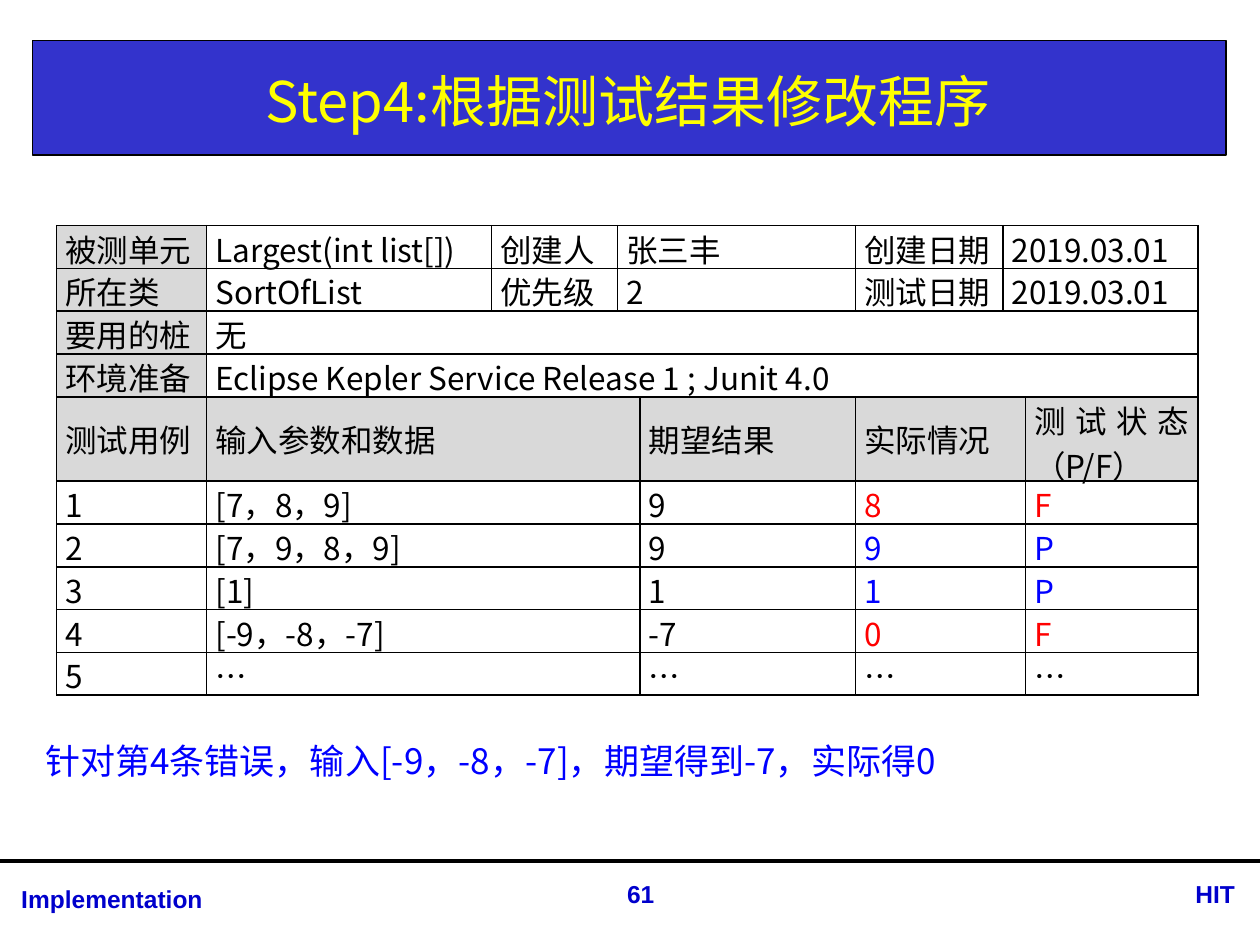
from lxml.etree import SubElement
from pptx import Presentation
from pptx.dml.color import RGBColor
from pptx.enum.shapes import MSO_CONNECTOR, MSO_SHAPE
from pptx.enum.text import MSO_ANCHOR, PP_ALIGN
from pptx.oxml import parse_xml
from pptx.oxml.ns import nsdecls, qn
from pptx.util import Inches, Pt

SANS = "Noto Sans CJK SC"
BLACK, RED, BLUE, GREY = "000000", "FF0000", "0000FF", "D9D9D9"


def colour(value):
    return RGBColor.from_string(value)


class SlideBuilder:
    """Holds the style and the current slide."""

    title = {"size": 32, "name": SANS, "color": "FFFF00"}
    cell = {"size": 18, "name": SANS, "color": BLACK}
    note = {"size": 20, "name": SANS, "color": BLUE}
    footer = {"size": 14, "name": "Arial", "color": "0000CC", "bold": True}

    def __init__(self, deck):
        self.slide = deck.slides.add_slide(deck.slide_layouts[6])
        self.shapes = self.slide.shapes

    def fill_frame(self, frame, text, style, align):
        para = frame.paragraphs[0]
        para.alignment = align
        span = para.add_run()
        span.text = text
        for key, value in style.items():
            if key == "color":
                span.font.color.rgb = colour(value)
            else:
                setattr(span.font, key, Pt(value) if key == "size" else value)
        east_asian = SubElement(span.font._element, qn("a:ea"))
        east_asian.set("typeface", style["name"])

    def text(self, place, text, style, align=PP_ALIGN.LEFT, anchor=MSO_ANCHOR.TOP):
        frame = self.shapes.add_textbox(*map(Inches, place)).text_frame
        frame.word_wrap = True
        frame.vertical_anchor = anchor
        self.fill_frame(frame, text, style, align)

    def rectangle(self, place, fill, line, width):
        shape = self.shapes.add_shape(MSO_SHAPE.RECTANGLE, *map(Inches, place))
        shape.shadow.inherit = False
        shape.fill.solid()
        shape.fill.fore_color.rgb = colour(fill)
        shape.line.color.rgb = colour(line)
        shape.line.width = Pt(width)

    def line(self, ends, line, width):
        rule = self.shapes.add_connector(MSO_CONNECTOR.STRAIGHT, *map(Inches, ends))
        rule.line.color.rgb = colour(line)
        rule.line.width = Pt(width)
        SubElement(rule._element.spPr, qn("a:effectLst"))

    def border(self, cell):
        properties = cell._tc.get_or_add_tcPr()
        for index, side in enumerate(("lnL", "lnR", "lnT", "lnB")):
            properties.insert(index, parse_xml(
                f'<a:{side} {nsdecls("a")} w="{Pt(1)}"><a:solidFill>'
                f'<a:srgbClr val="{BLACK}"/></a:solidFill></a:{side}>'))

    def table(self, place, widths, heights, rows):
        """Each row is a list of (text, column span, fill, text colour)."""
        size = len(rows), len(widths)
        table = self.shapes.add_table(*size, *map(Inches, place)).table
        table.first_row = table.horz_banding = False
        for column, width in zip(table.columns, widths):
            column.width = Inches(width)
        for row, height in zip(table.rows, heights):
            row.height = Inches(height)
        for cell in table.iter_cells():
            cell.fill.background()
            self.border(cell)
        for row_index, row in enumerate(rows):
            column_index = 0
            for text, columns, fill, ink in row:
                cell = table.cell(row_index, column_index)
                column_index += columns
                if columns > 1:
                    cell.merge(table.cell(row_index, column_index - 1))
                if fill:
                    cell.fill.solid()
                    cell.fill.fore_color.rgb = colour(fill)
                cell.margin_left = cell.margin_right = Inches(0.07)
                cell.margin_top = cell.margin_bottom = 0
                cell.vertical_anchor = MSO_ANCHOR.MIDDLE
                self.fill_frame(cell.text_frame, text, {**self.cell, "color": ink},
                                PP_ALIGN.JUSTIFY)


def information_row(texts, spans):
    fills = [GREY] + [None] * (len(texts) - 1)
    return [(text, span, fill, BLACK) for text, span, fill in zip(texts, spans, fills)]


def case_row(texts, fill=None):
    result = {"F": RED, "P": BLUE}.get(texts[-1], BLACK)
    inks = [BLACK] * 3 + [result] * 2
    return [(text, span, fill, ink)
            for text, span, ink in zip(texts, (1, 3, 1, 2, 1), inks)]


def main():
    deck = Presentation()
    deck.slide_width, deck.slide_height = Inches(10), Inches(7.5)
    builder = SlideBuilder(deck)

    # Title banner
    builder.rectangle((0.26, 0.32, 9.47, 0.91), "3333CC", BLACK, 0.75)
    builder.text((0.26, 0.36, 9.45, 0.87), "Step4:根据测试结果修改程序",
                 builder.title, PP_ALIGN.CENTER, MSO_ANCHOR.MIDDLE)

    # Footer
    builder.line((0, 6.83, 10, 6.83), BLACK, 2.25)
    builder.text((0.07, 6.97, 3.85, 0.34), "Implementation", builder.footer)
    builder.text((8.87, 6.93, 1.03, 0.34), "HIT", builder.footer, PP_ALIGN.RIGHT)
    builder.text((4.57, 6.93, 1.03, 0.34), "61", builder.footer, PP_ALIGN.CENTER)

    # Test record: unit information, then test cases
    details, wide = (1, 1, 1, 2, 1, 2), (1, 7)
    rows = [
        information_row(("被测单元", "Largest(int list[])", "创建人", "张三丰",
                         "创建日期", "2019.03.01"), details),
        information_row(("所在类", "SortOfList", "优先级", "2",
                         "测试日期", "2019.03.01"), details),
        information_row(("要用的桩", "无"), wide),
        information_row(("环境准备", "Eclipse Kepler Service Release 1 ; Junit 4.0"), wide),
        case_row(("测试用例", "输入参数和数据", "期望结果", "实际情况",
                  "测试状态（P/F）"), GREY),
        case_row(("1", "[7，8，9]", "9", "8", "F")),
        case_row(("2", "[7，9，8，9]", "9", "9", "P")),
        case_row(("3", "[1]", "1", "1", "P")),
        case_row(("4", "[-9，-8，-7]", "-7", "0", "F")),
        case_row(("5", "…", "…", "…", "…")),
    ]
    widths = (1.19, 2.26, 1, 0.18, 1.71, 1.17, 0.18, 1.37)
    heights = [0.34] * 4 + [0.67] + [0.34] * 5
    builder.table((0.45, 1.79, 9.06, 3.7), widths, heights, rows)

    # Conclusion
    builder.text((0.26, 5.82, 8.96, 0.44),
                 "针对第4条错误，输入[-9，-8，-7]，期望得到-7，实际得0", builder.note)

    deck.save("out.pptx")


if __name__ == "__main__":
    main()
